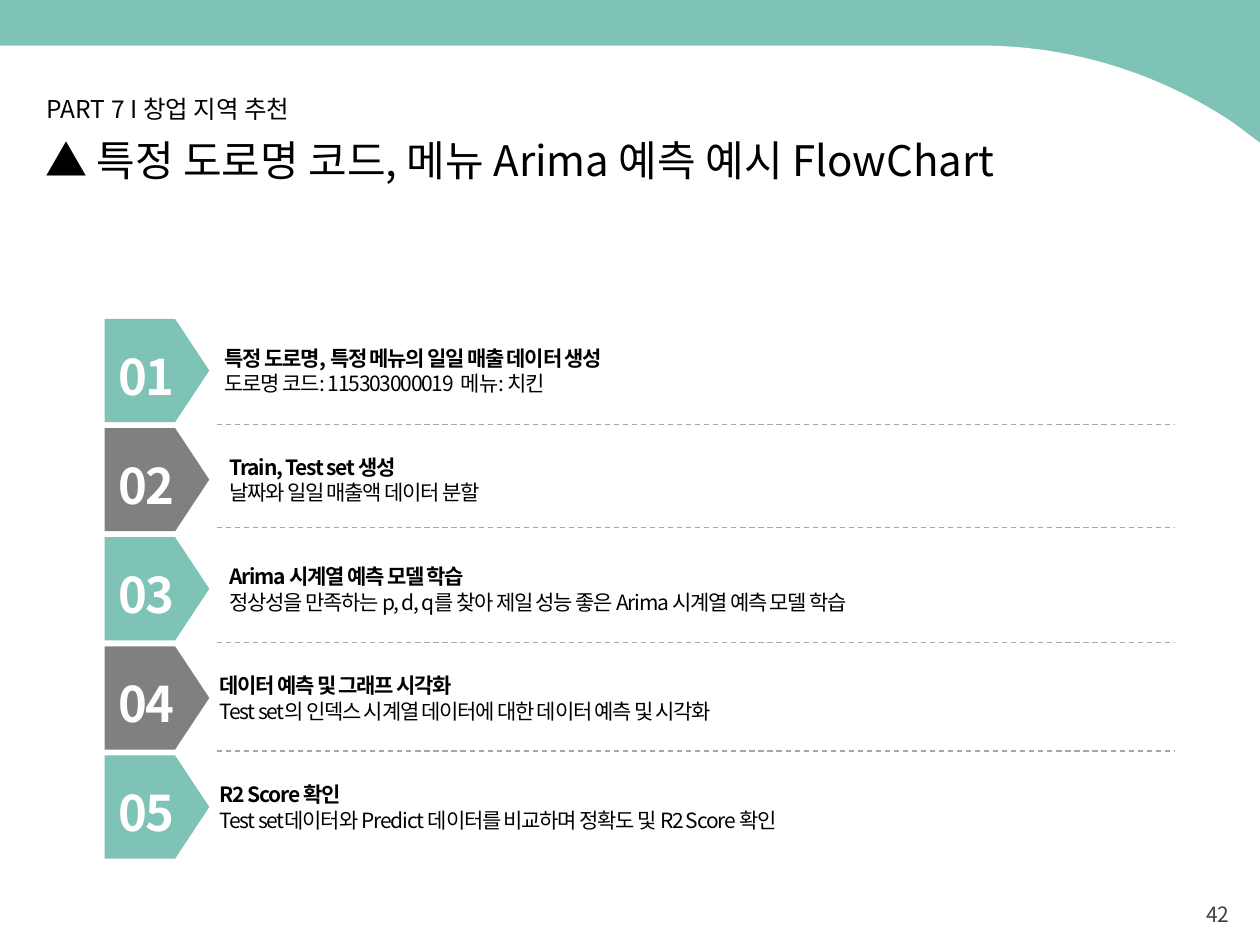
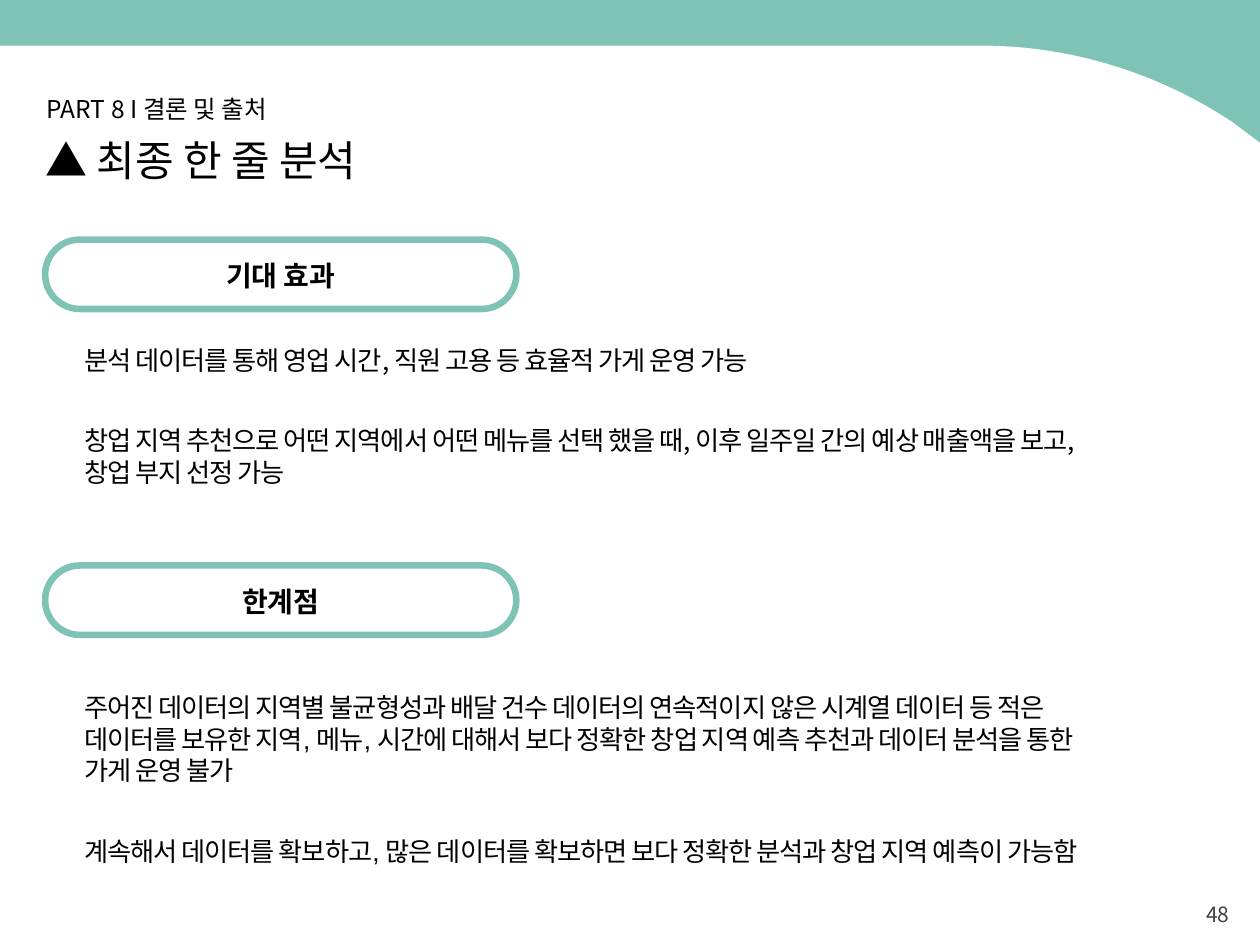
from collections import namedtuple
from dataclasses import dataclass

from lxml import etree
from pptx import Presentation
from pptx import util as u
from pptx.dml.color import RGBColor
from pptx.enum import dml, shapes, text
from pptx.oxml import ns

Box = namedtuple("Box", "left top width height")  # centimetres
Style = namedtuple("Style", "size leading spacing color bold font")
Step = namedtuple("Step", "heading detail text_left rule_drop")
Section = namedtuple("Section", "label pill body style points")

KOREAN = "Noto Sans CJK KR"
BLACK = RGBColor(0, 0, 0)
WHITE = RGBColor(255, 255, 255)


@dataclass(frozen=True)
class Theme:
    mint: RGBColor = RGBColor(0x7F, 0xC3, 0xB6)
    grey: RGBColor = RGBColor(0x80, 0x80, 0x80)
    rule: RGBColor = RGBColor(0xA6, 0xA6, 0xA6)
    paper: RGBColor = WHITE
    title: Style = Style(24, 30, 0, BLACK, False, KOREAN)
    kicker: Style = Style(14, 17, 0, BLACK, False, KOREAN)
    page: Style = Style(12, 14.8, 0, RGBColor(0x40, 0x40, 0x40), False, KOREAN)
    number: Style = Style(28, 35, -0.7, WHITE, True, KOREAN)
    heading: Style = Style(12, 14.5, -0.7, BLACK, True, KOREAN)
    detail: Style = Style(12, 14.5, -0.7, BLACK, False, KOREAN)
    pill: Style = Style(16, 20, 0, BLACK, True, KOREAN)
    effect: Style = Style(15, 18, -0.6, BLACK, False, KOREAN)
    limit: Style = Style(15, 18, -0.6, BLACK, False, "Arial")


THEME = Theme()
SLIDE = Box(0, 0, 25.4, 19.05)
TITLE = Box(0.91, 2.67, 22.89, 1.27)
KICKER = Box(0.94, 1.88, 9.04, 0.61)
PAGE = Box(19.33, 18.03, 5.72, 0.64)
FLOW = Box(2.11, 6.43, 21.56, 10.88)
STEP_PITCH = 2.2
POINT_GAP = 28

STEPS = [
    Step("특정 도로명, 특정 메뉴의 일일 매출 데이터 생성",
         "도로명 코드: 115303000019  메뉴: 치킨", 2.16, 2.13),
    Step("Train, Test set 생성",
         "날짜와 일일 매출액 데이터 분할", 2.26, 2.01),
    Step("Arima 시계열 예측 모델 학습",
         "정상성을 만족하는 p, d, q를 찾아 제일 성능 좋은 Arima 시계열 예측 모델 학습",
         2.26, 2.12),
    Step("데이터 예측 및 그래프 시각화",
         "Test set의 인덱스 시계열 데이터에 대한 데이터 예측 및 시각화", 2.06, 2.11),
    Step("R2 Score 확인",
         "Test set데이터와 Predict 데이터를 비교하며 정확도 및 R2 Score 확인", 2.06, None),
]

SECTIONS = [
    Section("기대 효과", Box(0.91, 4.83, 9.5, 1.4), Box(1.7, 6.93, 20.37, 2.92),
            THEME.effect, [
                "분석 데이터를 통해 영업 시간, 직원 고용 등 효율적 가게 운영 가능",
                "창업 지역 추천으로 어떤 지역에서 어떤 메뉴를 선택 했을 때, "
                "이후 일주일 간의 예상 매출액을 보고, 창업 부지 선정 가능"]),
    Section("한계점", Box(0.91, 11.4, 9.5, 1.4), Box(1.7, 13.94, 20.37, 4.19),
            THEME.limit, [
                "주어진 데이터의 지역별 불균형성과 배달 건수 데이터의 연속적이지 않은 "
                "시계열 데이터 등 적은 데이터를 보유한 지역, 메뉴, 시간에 대해서 보다 "
                "정확한 창업 지역 예측 추천과 데이터 분석을 통한 가게 운영 불가",
                "계속해서 데이터를 확보하고, 많은 데이터를 확보하면 보다 정확한 분석과 "
                "창업 지역 예측이 가능함"]),
]


def cm(box):
    return [u.Cm(length) for length in box]


def move(shape, box):
    shape.left, shape.top, shape.width, shape.height = cm(box)


def write(shape, lines, align=text.PP_ALIGN.LEFT, anchor=text.MSO_ANCHOR.TOP,
          inset=0.0, gap=0):
    """Fill a shape with (wording, style) lines, one paragraph each."""
    frame = shape.text_frame
    frame.word_wrap = True
    frame.auto_size = text.MSO_AUTO_SIZE.NONE
    frame.vertical_anchor = anchor
    frame.margin_left = frame.margin_right = u.Cm(2 * inset)
    frame.margin_top = frame.margin_bottom = u.Cm(inset)
    for i, (wording, style) in enumerate(lines):
        paragraph = frame.add_paragraph() if i else frame.paragraphs[0]
        props = paragraph._p.get_or_add_pPr()
        props.set("marL", "0")
        props.set("indent", "0")
        etree.SubElement(props, ns.qn("a:buNone"))
        paragraph.alignment = align
        paragraph.line_spacing = u.Pt(style.leading)
        paragraph.space_before = u.Pt(gap if i else 0)
        add_run(paragraph, wording, style)


def add_run(paragraph, wording, style):
    run = paragraph.add_run()
    run.text = wording
    run.font.size = u.Pt(style.size)
    run.font.bold = style.bold
    run.font.name = style.font
    run.font.color.rgb = style.color
    props = run._r.get_or_add_rPr()
    etree.SubElement(props, ns.qn("a:ea")).set("typeface", KOREAN)
    if style.spacing:
        props.set("spc", str(round(style.spacing * 100)))


def add_text(slide, box, lines, **layout):
    write(slide.shapes.add_textbox(*cm(box)), lines, **layout)


def bezier(start, first, second, end, steps=32):
    for i in range(1, steps + 1):
        t = i / steps
        yield tuple((1 - t) ** 3 * a + 3 * (1 - t) ** 2 * t * b
                    + 3 * (1 - t) * t ** 2 * c + t ** 3 * d
                    for a, b, c, d in zip(start, first, second, end))


def add_backdrop(master, slide):
    """Mint master background with the curved white page moved onto it."""
    master.background.fill.solid()
    master.background.fill.fore_color.rgb = THEME.mint
    band = 0.92
    bend = (19.76, band)
    curve = bezier(bend, (21.64, band), (23.39, 1.5), (24.84, 2.46))
    outline = [bend, *curve, (SLIDE.width, 2.88),
               (SLIDE.width, SLIDE.height), (0, SLIDE.height)]
    builder = slide.shapes.build_freeform(0, u.Cm(band))
    builder.add_line_segments([(u.Cm(x), u.Cm(y)) for x, y in outline])
    page = builder.convert_to_shape()
    page.shadow.inherit = False
    page.fill.solid()
    page.fill.fore_color.rgb = THEME.paper
    page.line.fill.background()
    master.shapes.element.insert(2, page.element)


def add_frame(slide, part, heading, page):
    """Title, part line and page number shared by every slide."""
    move(slide.shapes.title, TITLE)
    write(slide.shapes.title, [(f"▲ {heading}", THEME.title)])
    add_text(slide, KICKER, [(part, THEME.kicker)])
    add_text(slide, PAGE, [(page, THEME.page)],
             align=text.PP_ALIGN.RIGHT, inset=0.13)


def add_rule(slide, left, right, y):
    rule = slide.shapes.add_connector(
        shapes.MSO_CONNECTOR.STRAIGHT, u.Cm(left), u.Cm(y), u.Cm(right), u.Cm(y))
    rule.line.color.rgb = THEME.rule
    rule.line.width = u.Pt(0.75)
    rule.line.dash_style = dml.MSO_LINE.DASH
    etree.SubElement(rule._element.spPr, ns.qn("a:effectLst"))


def add_step(slide, box, index, step):
    arrow = slide.shapes.add_shape(
        shapes.MSO_SHAPE.PENTAGON, *cm(Box(box.left, box.top, 2.11, 2.08)))
    arrow.adjustments[0] = 0.331
    arrow.shadow.inherit = False
    arrow.fill.solid()
    arrow.fill.fore_color.rgb = THEME.grey if index % 2 else THEME.mint
    arrow.line.fill.background()
    add_text(slide, Box(box.left, box.top + 0.37, 1.68, 1.32),
             [(f"{index + 1:02}", THEME.number)],
             align=text.PP_ALIGN.CENTER, inset=0.13)
    add_text(slide, Box(box.left + step.text_left, box.top + 0.4, 19.43, 1.27),
             [(step.heading, THEME.heading), (step.detail, THEME.detail)],
             inset=0.13)
    if step.rule_drop:
        add_rule(slide, box.left + 2.26, box.left + box.width,
                 box.top + step.rule_drop)


def add_flow(slide, box, steps):
    for i, step in enumerate(steps):
        row = box._replace(top=box.top + i * STEP_PITCH, height=STEP_PITCH)
        add_step(slide, row, i, step)


def add_section(slide, section, body):
    pill = slide.shapes.add_shape(
        shapes.MSO_SHAPE.ROUNDED_RECTANGLE, *cm(section.pill))
    pill.adjustments[0] = 0.5
    pill.shadow.inherit = False
    pill.fill.background()
    pill.line.color.rgb = THEME.mint
    pill.line.width = u.Pt(3.75)
    write(pill, [(section.label, THEME.pill)],
          align=text.PP_ALIGN.CENTER, anchor=text.MSO_ANCHOR.MIDDLE)
    move(body, section.body)
    write(body, [(point, section.style) for point in section.points],
          gap=POINT_GAP)


def main():
    deck = Presentation()
    deck.slide_width, deck.slide_height = u.Cm(SLIDE.width), u.Cm(SLIDE.height)
    layouts = deck.slide_layouts

    flow = deck.slides.add_slide(layouts.get_by_name("Title Only"))
    add_backdrop(deck.slide_master, flow)
    add_frame(flow, "PART 7 I 창업 지역 추천",
              "특정 도로명 코드, 메뉴 Arima 예측 예시 FlowChart", "42")
    add_flow(flow, FLOW, STEPS)

    conclusion = deck.slides.add_slide(layouts.get_by_name("Two Content"))
    add_frame(conclusion, "PART 8 I 결론 및 출처", "최종 한 줄 분석", "48")
    for idx, section in enumerate(SECTIONS, start=1):
        add_section(conclusion, section, conclusion.placeholders[idx])

    deck.save("out.pptx")


if __name__ == "__main__":
    main()
